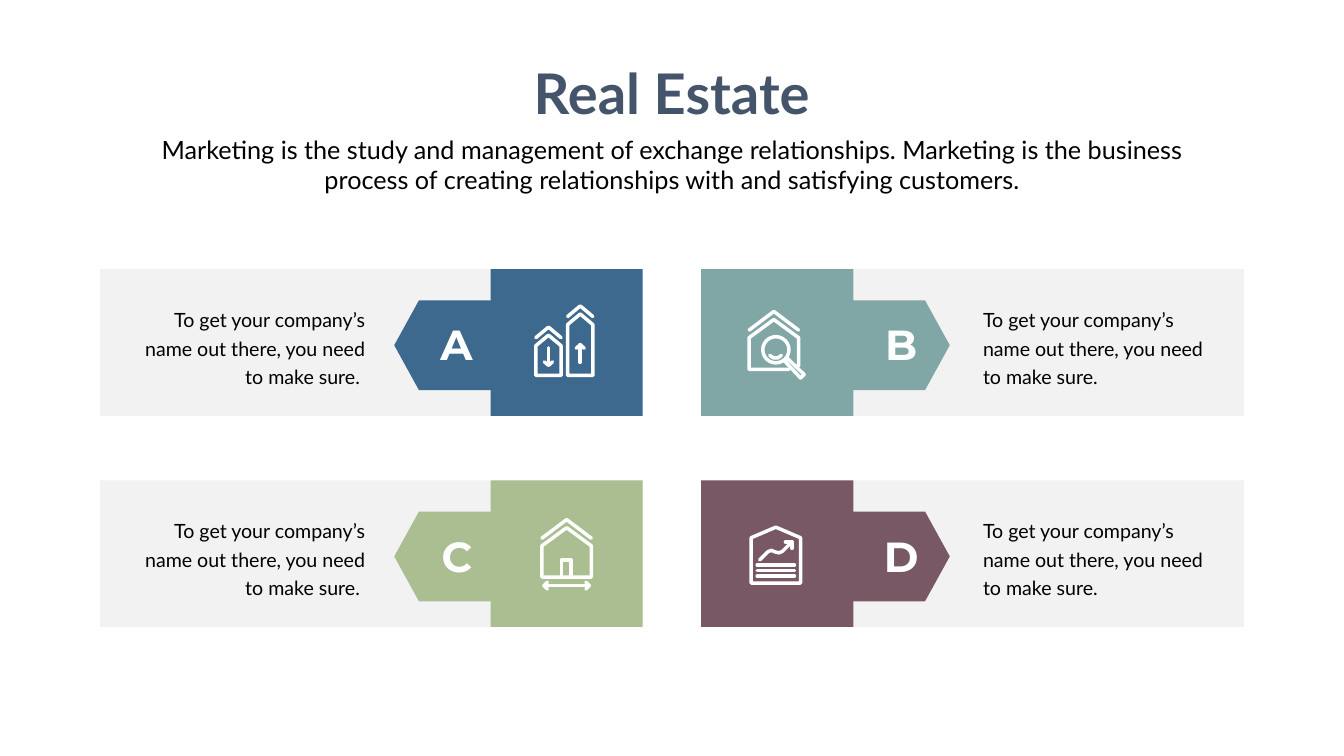
from lxml.etree import SubElement
from pptx import Presentation
from pptx.dml.color import RGBColor
from pptx.enum.shapes import MSO_CONNECTOR as Link, MSO_SHAPE as Shape
from pptx.enum.text import MSO_ANCHOR as Anchor, MSO_AUTO_SIZE as Fit, PP_ALIGN as Align
from pptx.oxml.ns import qn
from pptx.util import Inches, Pt

WIDE, TALL = 26.66, 15
WHITE, BLACK, GREY, SLATE = "FFFFFF", "000000", "808080", "44546A"
NOTE = "To get your company’s name out there, you need to make sure."


def color(code):
    return RGBColor.from_string(code)


def place(shape, x, y, w, h):
    shape.left, shape.top = Inches(x), Inches(y)
    shape.width, shape.height = Inches(w), Inches(h)


class Deck:
    font = "Lato"
    accent = "Montserrat"
    pen = 5

    def __init__(self):
        self.show = Presentation()
        self.show.slide_width = Inches(WIDE)
        self.show.slide_height = Inches(TALL)
        self.slide = self.show.slides.add_slide(self.show.slide_layouts[0])
        self.shapes = self.slide.shapes

    def label(self, shape, text, size, tint, align, bold=False, font=None):
        frame = shape.text_frame
        frame.word_wrap = True
        frame.auto_size = Fit.NONE
        frame.vertical_anchor = Anchor.TOP
        frame.text = text
        para = frame.paragraphs[0]
        para.alignment = align
        para.space_before = Pt(0)
        face = para.font
        face.name = font or self.font
        face.size = Pt(size)
        face.bold = bold
        face.color.rgb = color(tint)
        return frame

    def holder(self, index, box, text, size, tint, bold=False):
        shape = self.slide.placeholders[index]
        place(shape, *box)
        frame = self.label(shape, text, size, tint, Align.CENTER, bold)
        frame.paragraphs[0].line_spacing = 1.0

    def text(self, box, *style, **more):
        shape = self.shapes.add_textbox(*map(Inches, box))
        return self.label(shape, *style, **more)

    def note(self, box, text, align):
        frame = self.text(box, text, 28, BLACK, align)
        frame.margin_left = frame.margin_right = Inches(0.24)
        frame.margin_top = frame.margin_bottom = Inches(0.12)
        frame.paragraphs[0].line_spacing = Pt(40.8)

    def paint(self, shape, tint):
        shape.shadow.inherit = False
        shape.fill.solid()
        shape.fill.fore_color.rgb = color(tint)
        shape.line.fill.background()

    def block(self, box, tint, alpha=None):
        shape = self.shapes.add_shape(Shape.RECTANGLE, *map(Inches, box))
        self.paint(shape, tint)
        if alpha:
            fill = shape._element.spPr.find(qn("a:solidFill"))
            SubElement(fill[0], qn("a:alpha"), val=str(alpha * 1000))

    def outline(self, points, close):
        spots = [(Inches(x), Inches(y)) for x, y in points]
        build = self.shapes.build_freeform(*spots[0])
        build.add_line_segments(spots[1:], close=close)
        return build.convert_to_shape()

    def tab(self, points, tint):
        self.paint(self.outline(points, True), tint)

    def ink(self, shape):
        shape.line.color.rgb = color(WHITE)
        shape.line.width = Pt(self.pen)
        line = shape._element.spPr.find(qn("a:ln"))
        line.set("cap", "rnd")
        SubElement(line, qn("a:round"))

    def hollow(self, shape):
        shape.fill.background()
        self.ink(shape)
        shape.shadow.inherit = False

    def line(self, x1, y1, x2, y2):
        ends = map(Inches, (x1, y1, x2, y2))
        shape = self.shapes.add_connector(Link.STRAIGHT, *ends)
        self.ink(shape)
        SubElement(shape._element.spPr, qn("a:effectLst"))

    def stroke(self, *points, close=False):
        self.hollow(self.outline(points, close))

    def ring(self, x, y, r):
        box = map(Inches, (x - r, y - r, 2 * r, 2 * r))
        self.hollow(self.shapes.add_shape(Shape.OVAL, *box))

    def roof(self, x, y, half, drop):
        self.stroke((x - half, y + drop), (x, y), (x + half, y + drop))

    def house(self, x, y, half, drop, base):
        self.stroke((x - half, base), (x - half, y + drop), (x, y),
                    (x + half, y + drop), (x + half, base), close=True)

    def towers(self):
        for x, y in ((10.88, 6.49), (11.51, 6.07)):
            self.roof(x, y, 0.25, 0.21)
            self.house(x, y + 0.16, 0.25, 0.21, 7.45)
        for x, tail, tip, wing in ((10.88, 6.9, 7.25, 7.18), (11.51, 7.19, 6.84, 6.91)):
            self.line(x, tail, x, tip)
            self.stroke((x - 0.08, wing), (x, tip), (x + 0.08, wing))

    def search(self):
        self.roof(15.35, 6.18, 0.49, 0.37)
        self.stroke((15.65, 7.33), (14.86, 7.33), (14.86, 6.7),
                    (15.35, 6.34), (15.84, 6.7), (15.84, 7.27))
        self.ring(15.39, 6.94, 0.26)
        self.stroke((15.57, 7.17), (15.88, 7.5), (15.95, 7.43), (15.62, 7.11), close=True)
        self.stroke((15.27, 7.05), (15.34, 7.1), (15.43, 7.1), (15.5, 7.05))

    def home(self):
        self.roof(11.24, 10.31, 0.49, 0.37)
        self.house(11.24, 10.47, 0.49, 0.36, 11.45)
        self.stroke((11.14, 11.45), (11.14, 11.11), (11.33, 11.11), (11.33, 11.45))
        self.line(10.79, 11.62, 11.69, 11.62)
        for tip, wing in ((10.79, 10.86), (11.69, 11.62)):
            self.stroke((wing, 11.55), (tip, 11.62), (wing, 11.69))

    def trend(self):
        self.house(15.39, 10.46, 0.49, 0.21, 11.57)
        for row in range(3):
            y = 11.21 + 0.11 * row
            self.line(15.02, y, 15.76, y)
        self.stroke((15.07, 11.11), (15.23, 10.95), (15.3, 10.92), (15.37, 10.95),
                    (15.45, 10.97), (15.52, 10.94), (15.71, 10.75))
        self.stroke((15.58, 10.75), (15.71, 10.75), (15.71, 10.88))

    def card(self, letter, tint, y, right):
        def box(x, y, w, h):
            return (WIDE - x - w if right else x), y, w, h

        tab = [(8.31, 2.4), (9.76, 2.4), (9.76, 0.62), (8.31, 0.62), (7.82, 1.51)]
        self.block(box(1.98, y, 10.77, 2.91), GREY, alpha=10)
        self.tab([(WIDE - a if right else a, y + b) for a, b in tab], tint)
        self.block(box(9.73, y, 3.02, 2.91), tint)
        self.text(box(8.1, y + 0.94, 1.37, 1.11), letter, 60, WHITE,
                  Align.CENTER if right else Align.RIGHT, bold=True, font=self.accent)
        self.note(box(2.4 if right else 2.48, y + 0.55, 5, 1.9),
                  NOTE if right else NOTE + " ",
                  Align.LEFT if right else Align.RIGHT)


def main():
    deck = Deck()
    deck.holder(0, (10.41, 1.12, 5.83, 1.45), "Real Estate", 80, SLATE, bold=True)
    deck.holder(1, (2.92, 2.61, 20.82, 1.31),
                "Marketing is the study and management of exchange relationships. "
                "Marketing is the business process of creating relationships with "
                "and satisfying customers.", 36, BLACK)
    cards = (("A", "3D698F", deck.towers), ("B", "80A7A5", deck.search),
             ("C", "ABBE92", deck.home), ("D", "775864", deck.trend))
    for index, (letter, tint, icon) in enumerate(cards):
        row, side = divmod(index, 2)
        deck.card(letter, tint, 5.34 + 4.19 * row, side == 1)
        icon()
    deck.show.save("out.pptx")


if __name__ == "__main__":
    main()
